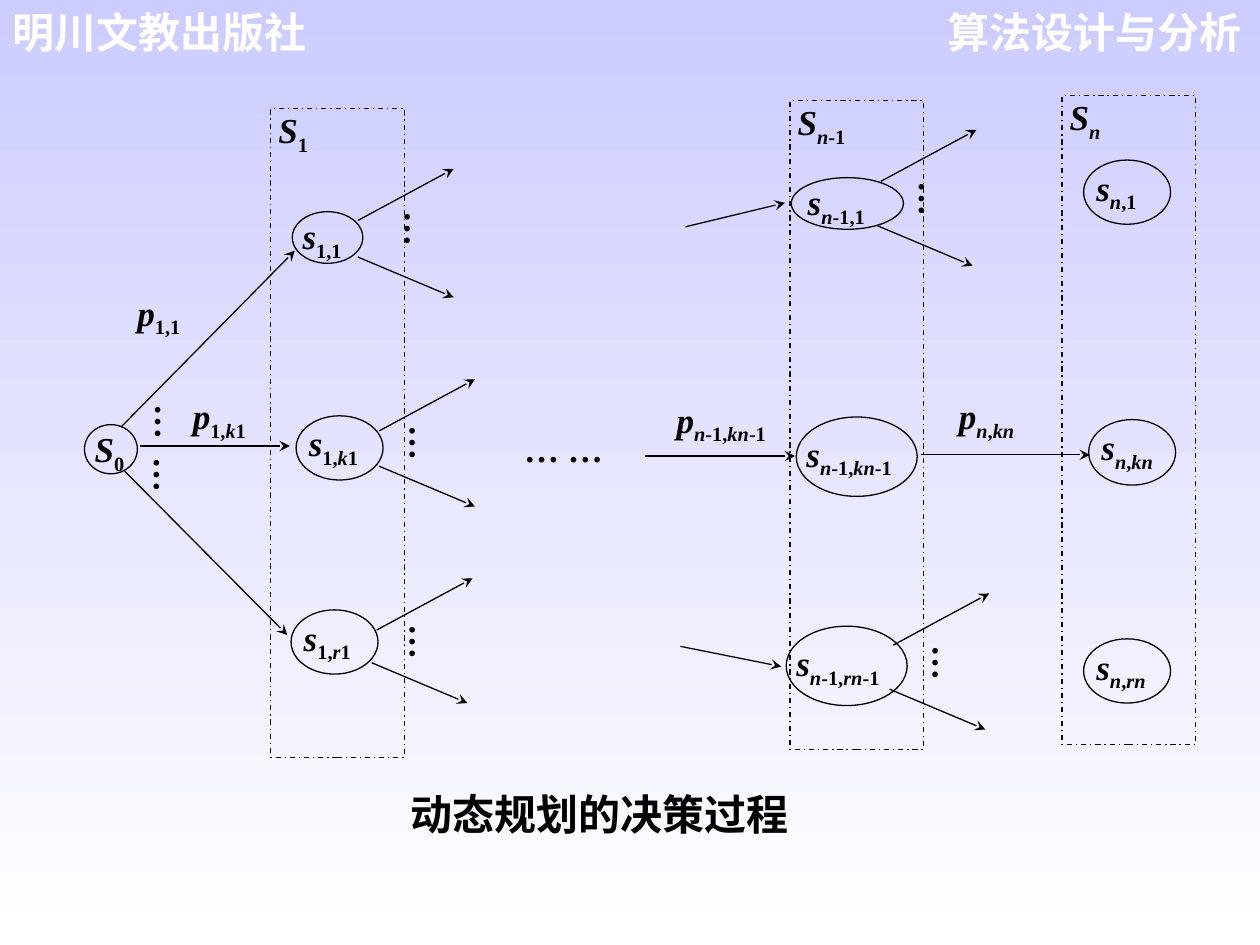
from itertools import groupby

from lxml import etree
from pptx import Presentation, util as u
from pptx.dml.color import RGBColor
from pptx.enum import dml, shapes, text
from pptx.oxml.ns import qn

COLORS = {"ink": "000000", "header": "FFFFFF", "sky": "CCCCFF", "base": "FFFFFF"}
COLS, ROWS = 100, 75
CELL = u.Inches(0.1)
SERIF, SANS = "Times New Roman", "Arial"


def grid(*cells):
    """Turn grid columns and rows into lengths."""
    return [u.Emu(round(c * CELL)) for c in cells]


def add_run(p, words, size=20, font=SERIF, color="ink", italic=False, sub=False):
    """Add one bold run to a paragraph."""
    r = p.add_run()
    r.text = words
    f = r.font
    f.size, f.name, f.bold, f.italic = u.Pt(size), font, True, italic
    f.color.rgb = RGBColor.from_string(COLORS[color])
    if sub:
        r._r.get_or_add_rPr().set("baseline", "-25000")


def set_frame(sp, margins=(0, 0, 0, 0), spacing=None):
    """Prepare the text frame of a shape and return its paragraph."""
    tf = sp.text_frame
    tf.word_wrap = True
    tf.vertical_anchor = text.MSO_ANCHOR.TOP
    tf.margin_left, tf.margin_top, tf.margin_right, tf.margin_bottom = grid(*margins)
    p = tf.paragraphs[0]
    p.alignment = text.PP_ALIGN.LEFT
    if spacing:
        p.line_spacing = spacing
    return p


def add_symbol(p, symbol):
    """Write an italic letter with its subscript, where only letters slant."""
    add_run(p, symbol[0], italic=True)
    for is_letter, chars in groupby(symbol[1:], str.isalpha):
        add_run(p, "".join(chars), italic=is_letter, sub=True)


def add_label(s, box, symbol, spacing=None):
    """Place a symbol in a text box."""
    add_symbol(set_frame(s.shapes.add_textbox(*grid(*box)), spacing=spacing), symbol)


def add_words(s, box, words, size=20):
    """Place plain bold words in a text box."""
    add_run(set_frame(s.shapes.add_textbox(*grid(*box))), words, size)


def add_dots(s, x, y):
    """Place a vertical ellipsis."""
    sp = s.shapes.add_textbox(*grid(x, y, 2, 3.2))
    add_run(set_frame(sp, spacing=0.96), "…")
    sp.text_frame._txBody.bodyPr.set("vert", "eaVert")


def add_outline(s, kind, box):
    """Add an unfilled shape with a thin outline."""
    sp = s.shapes.add_shape(kind, *grid(*box))
    sp.shadow.inherit = False
    sp.fill.background()
    sp.line.color.rgb = RGBColor.from_string(COLORS["ink"])
    sp.line.width = u.Pt(0.75)
    return sp


def add_arrow(s, x1, y1, x2, y2):
    """Draw a straight arrow with a stealth head."""
    c = s.shapes.add_connector(shapes.MSO_CONNECTOR.STRAIGHT, *grid(x1, y1, x2, y2))
    c.line.color.rgb = RGBColor.from_string(COLORS["ink"])
    c.line.width = u.Pt(0.75)
    etree.SubElement(c.line._get_or_add_ln(), qn("a:tailEnd"), type="stealth")
    etree.SubElement(c._element.spPr, qn("a:effectLst"))


def add_state(s, box, symbol):
    """Draw a state; the widest ones carry their symbol in a box of its own."""
    x, y, w, h = box
    sp = add_outline(s, shapes.MSO_SHAPE.OVAL, box)
    if h > 6:
        add_label(s, (x + 0.8, y + 1.55, 7.8, 3.2), symbol, 0.8)
    else:
        left = 0.2 if symbol == "S0" else 0
        add_symbol(set_frame(sp, (left, 0.1 if h > 5 else 0, 0, 0), 0.8), symbol)


def add_fan(s, x, y, shift, gap, dots):
    """Draw the rising and falling arrows that leave a state, with dots between."""
    add_arrow(s, x, y, x + 7.6, y - 4.1)
    add_arrow(s, x + shift, y + gap, x + shift + 7.6, y + gap + 3.2)
    add_dots(s, x + dots[0], y + dots[1])


def add_stage(s, box, symbol, states, fans=()):
    """Draw a stage frame with states and fans placed from its top left corner."""
    x, y = box[:2]
    sp = add_outline(s, shapes.MSO_SHAPE.RECTANGLE, box)
    sp.line.dash_style = dml.MSO_LINE.DASH_DOT
    add_symbol(set_frame(sp, (0.6, 0, 1, 0.5)), symbol)
    for dx, dy, w, h, name in states:
        add_state(s, (x + dx, y + dy, w, h), name)
    for dx, dy, *fan in fans:
        add_fan(s, x + dx, y + dy, *fan)


def add_start(s, x, y):
    """Draw the start state with its three decisions."""
    add_state(s, (x, y, 4.2, 3.9), "S0")
    for arrow in ((2.9, 0.2, 16.7, -13.8), (4.4, 1.7, 16.3, 1.7), (3.2, 3.7, 16.1, 16.7)):
        add_arrow(s, *(a + o for a, o in zip(arrow, (x, y, x, y))))
    add_label(s, (x + 4.2, y - 10.6, 4.2, 4), "p1,1")
    add_label(s, (x + 8.6, y - 2.4, 4.8, 4), "p1,k1")
    add_dots(s, x + 6.2, y - 1.6)
    add_dots(s, x + 6.1, y + 2.6)


def add_links(s):
    """Draw the decisions that lead into the last two stages."""
    for arrow in ((54.4, 18, 62.3, 16.1), (51.2, 36.2, 63.1, 36.2),
                  (54, 51.3, 62, 52.9), (73.1, 36.1, 86.5, 36.1)):
        add_arrow(s, *arrow)
    add_label(s, (53.7, 31.6, 8.7, 3.9), "pn-1,kn-1")
    add_label(s, (76.1, 31.3, 6.1, 3.9), "pn,kn")
    add_words(s, (41.6, 33.9, 6.9, 5.4), "… …")


def add_header(s, x, words, align):
    """Write one of the two white headings at the top."""
    p = set_frame(s.shapes.add_textbox(*grid(x, 0, 27.1, 5)), (1, 0.5, 1, 0.5))
    p.alignment = align
    add_run(p, words, 24, SANS, "header")


def add_background(s):
    """Fill the slide from sky at the top to white at the bottom."""
    fill = s.background.fill
    fill.gradient()
    fill.gradient_angle = 270
    for stop, name in zip(fill.gradient_stops, ("sky", "base")):
        stop.color.rgb = RGBColor.from_string(COLORS[name])


def main():
    """Build the slide on the decision process of dynamic programming."""
    prs = Presentation()
    prs.slide_width, prs.slide_height = grid(COLS, ROWS)
    s = prs.slides.add_slide(prs.slide_layouts[6])
    add_background(s)
    add_header(s, 72.4, "算法设计与分析", text.PP_ALIGN.RIGHT)
    add_header(s, 0, "明川文教出版社", text.PP_ALIGN.LEFT)
    add_stage(s, (62.7, 8, 10.6, 51.5), "Sn-1",
              [(0.1, 6.1, 8.9, 4.1, "sn-1,1"), (0.5, 25.1, 9.6, 6.3, "sn-1,kn-1"),
               (-0.3, 41.7, 9.6, 6.3, "sn-1,rn-1")],
              [(7.2, 6.4, -0.3, 3.5, (3.6, 0)), (8.2, 43.2, -0.3, 3.5, (3.7, 0))])
    add_stage(s, (84.3, 7.6, 10.6, 51.5), "Sn",
              [(1.7, 5.1, 6.9, 5.1, "sn,1"), (2.1, 25.7, 6.9, 5.2, "sn,kn"),
               (1.7, 43.1, 6.9, 5.1, "sn,rn")])
    add_stage(s, (21.5, 8.6, 10.6, 51.5), "S1",
              [(1.7, 8.2, 5.6, 4.1, "s1,1"), (2, 24.4, 6.9, 5.1, "s1,k1"),
               (1.6, 39.8, 6.9, 5.1, "s1,r1")],
              [(6.9, 8.9, 0, 2.9, (4.3, -0.7)), (8.6, 25.6, 0, 2.8, (3, -0.4)),
               (8.4, 41.4, -0.4, 2.6, (3.2, -0.4))])
    add_start(s, 6.7, 33.7)
    add_links(s)
    add_words(s, (32.6, 62.6, 32.2, 4), "动态规划的决策过程", 24)
    prs.save("out.pptx")


if __name__ == "__main__":
    main()
